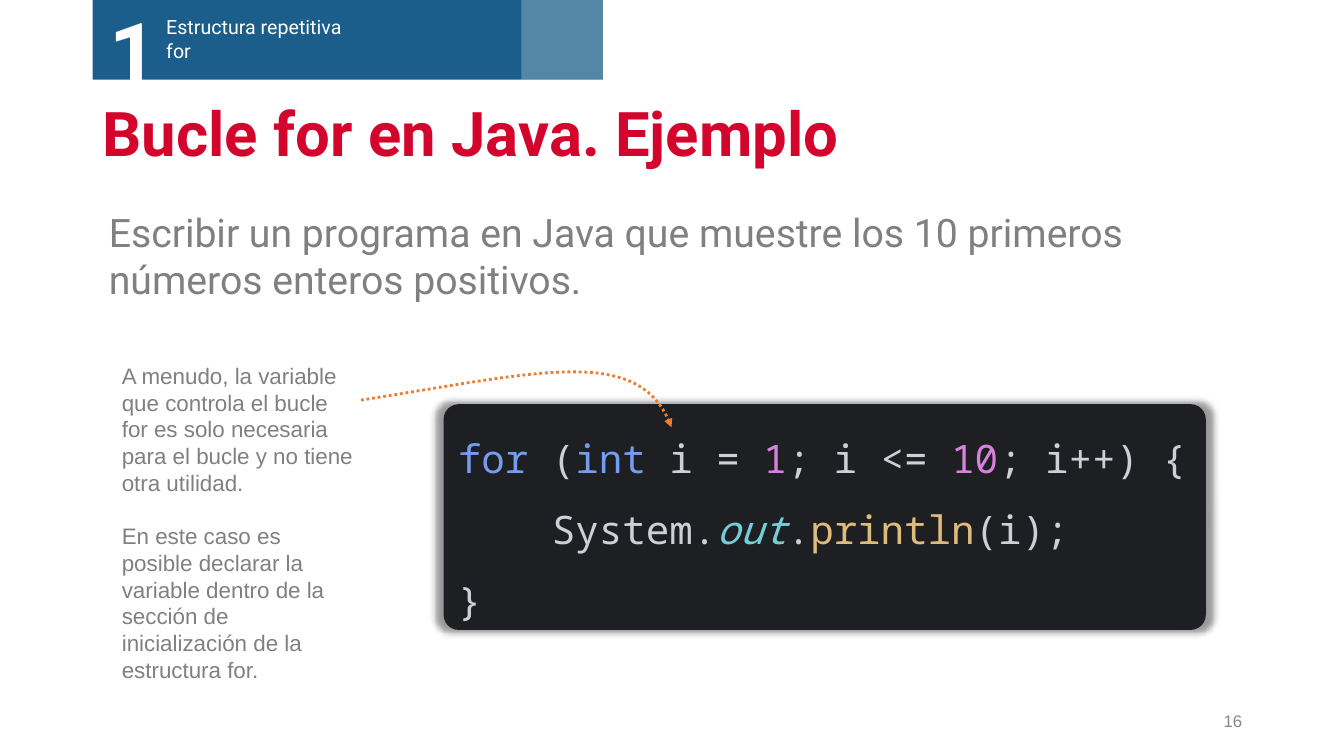
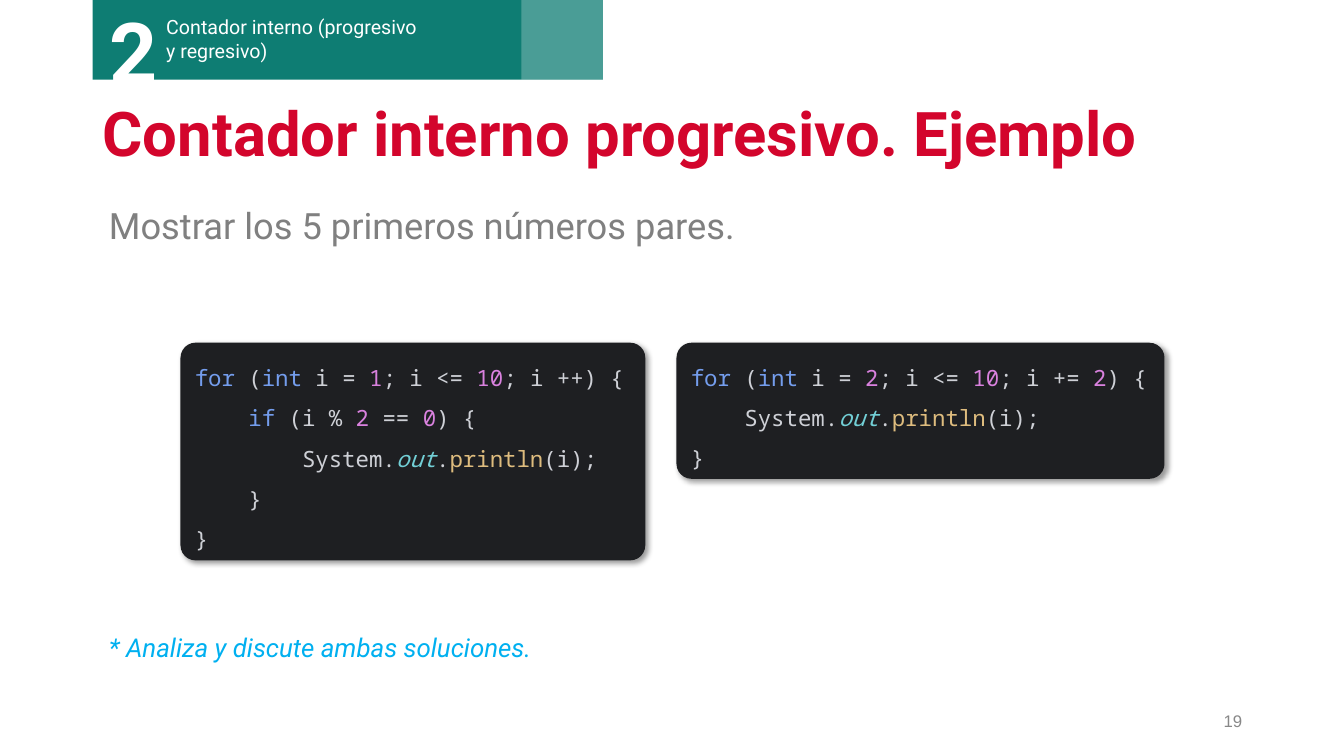
from lxml.etree import SubElement
from pptx import Presentation
from pptx.dml.color import RGBColor
from pptx.enum.dml import MSO_LINE_DASH_STYLE as Dash
from pptx.enum.shapes import MSO_SHAPE as Shape
from pptx.enum.text import MSO_ANCHOR as Anchor, MSO_AUTO_SIZE as AutoSize, PP_ALIGN as Align
from pptx.oxml.ns import qn
from pptx.util import Inches, Pt

RED, GREY, WHITE, CYAN = "D3052C", "808080", "FFFFFF", "00B0F0"
ORANGE, PAGE_GREY, EDITOR = "ED7D31", "888888", "1E1F22"
SYNTAX = {"plain": "CED0D6", "keyword": "749DED", "number": "D981DE",
          "field": "72CFD6", "method": "DEBC7E"}
LEFT, WIDTH = 0.92, 11.5
BODY_TOP, BODY_INDENT = 2.02, 0.06

CENTERED_SHADOW = dict(blurRad=Pt(5), sx=102000, sy=102000, algn="ctr", rotWithShape=0)
OFFSET_SHADOW = dict(blurRad=Pt(4), dist=Pt(3), dir=45 * 60000, algn="tl", rotWithShape=0)


def for_header(start, *step):
    return [("for ", "keyword"), ("(", "plain"), ("int ", "keyword"), ("i = ", "plain"),
            (start, "number"), ("; i <= ", "plain"), ("10", "number"), *step]


def print_line(indent):
    return [(indent + "System.", "plain"), ("out", "field"), (".", "plain"),
            ("println", "method"), ("(i);", "plain")]


def closing(indent=""):
    return [(indent + "}", "plain")]


TAB = "    "
FIRST_TEN = [for_header("1", ("; i++) {", "plain")), print_line(TAB), closing()]
EVEN_BY_TEST = [
    for_header("1", ("; i ++) {", "plain")),
    [(TAB, "plain"), ("if ", "keyword"), ("(i % ", "plain"), ("2 ", "number"),
     ("== ", "plain"), ("0", "number"), (") {", "plain")],
    print_line(TAB * 2), closing(TAB), closing(),
]
EVEN_BY_STEP = [
    for_header("2", ("; i += ", "plain"), ("2", "number"), (") {", "plain")),
    print_line(TAB), closing(),
]

SLIDES = [
    dict(section=("1", "Estructura repetitiva\vfor", "1B5E8B"), page="16",
         title="Bucle for en Java. Ejemplo",
         task="Escribir un programa en Java que muestre los 10 primeros números enteros positivos.",
         task_size=28, task_spacing=1,
         code=[((4.4, 4.01, 7.56, 2.24), 28, FIRST_TEN, CENTERED_SHADOW)],
         aside=["A menudo, la variable que controla el bucle for es solo necesaria "
                "para el bucle y no tiene otra utilidad.",
                "En este caso es posible declarar la variable dentro de la sección de "
                "inicialización de la estructura for."],
         arrow=[(3.58, 3.97), (5.31, 3.7), (6.36, 3.41), (6.66, 4.24)]),
    dict(section=("2", "Contador interno (progresivo y regresivo)", "0E7D73"), page="19",
         title="Contador interno progresivo. Ejemplo",
         task="Mostrar los 5 primeros números pares.", task_size=25.9, task_spacing=0.9,
         code=[((1.79, 3.4, 4.61, 2.16), 16, EVEN_BY_TEST, OFFSET_SHADOW),
               ((6.71, 3.4, 4.84, 1.35), 16, EVEN_BY_STEP, OFFSET_SHADOW)],
         footnote="* Analiza y discute ambas soluciones."),
]


def rgb(color):
    return RGBColor.from_string(color)


def add_text(shapes, box, paragraphs, size, color, font="Roboto", bold=False, italic=False,
             anchor=Anchor.TOP, align=Align.LEFT, spacing=1, gap=0, indent=0):
    frame = shapes.add_textbox(*map(Inches, box)).text_frame
    frame.word_wrap = True
    frame.vertical_anchor = anchor
    frame.margin_left = Inches(0.1 + indent)
    for index, text in enumerate(paragraphs):
        paragraph = frame.add_paragraph() if index else frame.paragraphs[0]
        paragraph.text = text
        paragraph.alignment = align
        paragraph.line_spacing = spacing
        if index:
            paragraph.space_before = Pt(gap)
        style = paragraph.font
        style.name, style.size, style.bold, style.italic = font, Pt(size), bold, italic
        style.color.rgb = rgb(color)
    return frame


def add_filled(shapes, preset, box, color):
    panel = shapes.add_shape(preset, *map(Inches, box))
    panel.shadow.inherit = False
    panel.fill.solid()
    panel.fill.fore_color.rgb = rgb(color)
    panel.line.fill.background()
    return panel


def add_alpha(color_element, percent):
    SubElement(color_element, qn("a:alpha"), val=str(percent * 1000))


def add_section_band(slide, number, name, color):
    shapes = slide.shapes.add_group_shape().shapes
    add_filled(shapes, Shape.RECTANGLE, (LEFT, 0, 5.06, 0.79), color)
    add_text(shapes, (1.55, 0.1, 2.75, 0.57), [name], 14, WHITE)
    digit = add_text(shapes, (0.99, 0, 1.12, 1.06), [number], 60, WHITE, bold=True)
    digit.margin_top = 0
    tint = add_filled(shapes, Shape.RECTANGLE, (5.17, 0, 0.81, 0.79), WHITE)
    add_alpha(tint.fill._xPr.find(".//" + qn("a:srgbClr")), 25)


def add_code(slide, box, size, lines, shadow):
    editor = add_filled(slide.shapes, Shape.ROUNDED_RECTANGLE, box, EDITOR)
    editor.adjustments[0] = 0.15 / box[3]
    effects = editor._element.spPr.find(qn("a:effectLst"))
    outer = SubElement(effects, qn("a:outerShdw"), {k: str(v) for k, v in shadow.items()})
    add_alpha(SubElement(outer, qn("a:srgbClr"), val="000000"), 40)
    frame = editor.text_frame
    frame.word_wrap = False
    frame.auto_size = AutoSize.SHAPE_TO_FIT_TEXT
    frame.vertical_anchor = Anchor.MIDDLE
    paragraph = frame.paragraphs[0]
    paragraph.alignment = Align.LEFT
    paragraph.line_spacing = 1.5
    paragraph.font.name, paragraph.font.size = "Noto Sans Mono", Pt(size)
    for index, line in enumerate(lines):
        if index:
            paragraph.add_line_break()
        for text, kind in line:
            run = paragraph.add_run()
            run.text = text
            run.font.color.rgb = rgb(SYNTAX[kind])
            run.font.italic = kind == "field"


def add_curved_arrow(slide, points):
    start, *rest = [tuple(map(Inches, point)) for point in points]
    builder = slide.shapes.build_freeform(*start)
    builder.add_line_segments(rest, close=False)
    arrow = builder.convert_to_shape()
    arrow.shadow.inherit = False
    arrow.fill.background()
    arrow.line.color.rgb = rgb(ORANGE)
    arrow.line.width = Pt(2)
    arrow.line.dash_style = Dash.ROUND_DOT
    properties = arrow._element.spPr
    SubElement(properties.find(qn("a:ln")), qn("a:tailEnd"), type="triangle")
    outline = properties.find(".//" + qn("a:path"))
    segments = outline.findall(qn("a:lnTo"))
    curve = SubElement(outline, qn("a:cubicBezTo"))
    for segment in segments:
        curve.append(segment[0])
        outline.remove(segment)


def add_slide(deck, content):
    slide = deck.slides.add_slide(deck.slide_layouts[6])
    shapes = slide.shapes
    add_section_band(slide, *content["section"])
    add_text(shapes, (LEFT, 0.93, WIDTH, 0.86), [content["title"]], 44, RED,
             bold=True, anchor=Anchor.MIDDLE, spacing=0.9)
    add_text(shapes, (LEFT, BODY_TOP, WIDTH, 1.2), [content["task"]], content["task_size"],
             GREY, spacing=content["task_spacing"], indent=BODY_INDENT)
    for block in content["code"]:
        add_code(slide, *block)
    if "aside" in content:
        add_text(shapes, (1.11, 3.54, 2.49, 3.33), content["aside"], 16, GREY,
                 font="Arial", gap=18.5)
    if "arrow" in content:
        add_curved_arrow(slide, content["arrow"])
    if "footnote" in content:
        add_text(shapes, (LEFT, 6.22, WIDTH, 0.4), [content["footnote"]], 18.5, CYAN,
                 italic=True, indent=BODY_INDENT)
    add_text(shapes, (9.42, 6.95, 3, 0.4), [content["page"]], 12, PAGE_GREY,
             font="Arial", anchor=Anchor.MIDDLE, align=Align.RIGHT)


def main():
    deck = Presentation()
    deck.slide_width, deck.slide_height = Inches(13.33), Inches(7.5)
    for content in SLIDES:
        add_slide(deck, content)
    deck.save("out.pptx")


if __name__ == "__main__":
    main()
